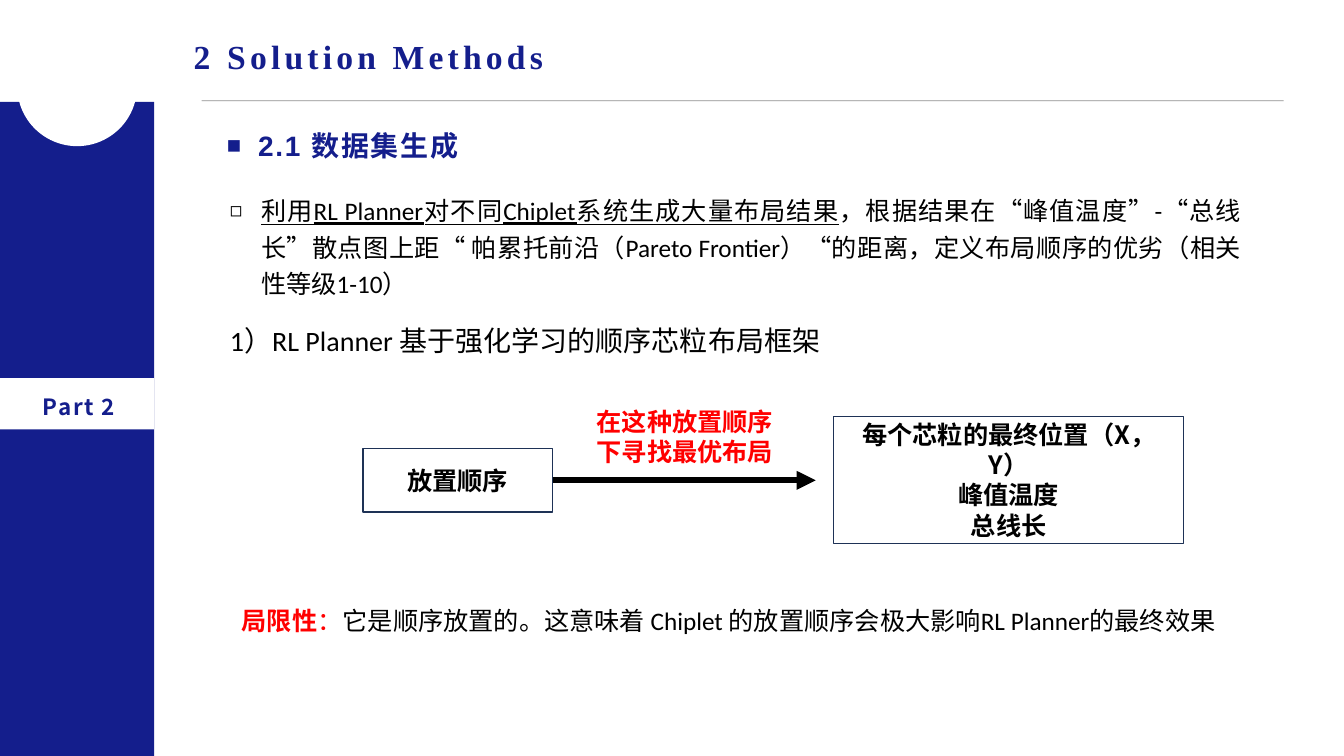
from dataclasses import dataclass

import lxml.etree
import pptx
import pptx.dml.color
import pptx.enum.shapes
import pptx.enum.text
import pptx.oxml.ns
import pptx.util

Inches = pptx.util.Inches
Pt = pptx.util.Pt
qn = pptx.oxml.ns.qn
SHAPE = pptx.enum.shapes.MSO_SHAPE
ALIGN = pptx.enum.text.PP_ALIGN
ANCHOR = pptx.enum.text.MSO_ANCHOR

COLORS = {
    "navy": "141E8C",
    "border": "1E3256",
    "rule": "0D0D0D",
    "red": "FF0000",
    "black": "000000",
    "white": "FFFFFF",
}
CJK = "Noto Sans CJK SC"


@dataclass
class Box:
    left: float
    top: float
    width: float
    height: float

    def lengths(self) -> tuple:
        return tuple(Inches(v) for v in (self.left, self.top, self.width, self.height))


@dataclass
class Panel:
    box: Box
    fill: str
    kind: int = SHAPE.RECTANGLE


@dataclass
class Step:
    box: Box
    lines: list[str]


PANELS = [
    Panel(Box(0, 1.01, 1.53, 6.49), "navy"),
    Panel(Box(0.17, 0.26, 1.19, 1.19), "white", SHAPE.OVAL),
    Panel(Box(0, 3.75, 1.53, 0.51), "white"),
]
STEPS = [
    Step(Box(3.6, 4.45, 1.88, 0.63), ["放置顺序"]),
    Step(Box(8.27, 4.13, 3.47, 1.26), ["每个芯粒的最终位置（X，Y）", "峰值温度", "总线长"]),
]


def rgb(name: str) -> pptx.dml.color.RGBColor:
    return pptx.dml.color.RGBColor.from_string(COLORS[name])


def add_run(p, text: str, *, size: float, font: str = "Calibri", color: str = "black",
            bold: bool = False, underline: bool = False, spacing: float = 0) -> None:
    """Append formatted text; spacing is the gap between letters in points."""
    r = p.add_run()
    r.text = text
    r.font.size = Pt(size)
    r.font.name = font
    r.font.bold = bold
    r.font.underline = underline
    r.font.color.rgb = rgb(color)
    if spacing:
        r._r.get_or_add_rPr().set("spc", str(round(spacing * 100)))


def format_paragraph(p, *, align=ALIGN.LEFT, line: float = 1.0, before: float = 0,
                     margin: float = 0, hanging: float = 0,
                     bullet: str = "", bullet_size: int = 100) -> None:
    pPr = p._p.get_or_add_pPr()
    pPr.set("marL", str(Inches(margin)))
    pPr.set("indent", str(-Inches(hanging)))
    if bullet:
        for tag, name, value in (("a:buSzPct", "val", str(bullet_size * 1000)),
                                 ("a:buFont", "typeface", "Arial"),
                                 ("a:buChar", "char", bullet)):
            lxml.etree.SubElement(pPr, qn(tag)).set(name, value)
    else:
        lxml.etree.SubElement(pPr, qn("a:buNone"))
    p.alignment = align
    p.line_spacing = line
    p.space_before = Pt(before)


def place(sp, box: Box, anchor=ANCHOR.TOP):
    """Set a text shape's position and frame, and return the text frame."""
    sp.left, sp.top, sp.width, sp.height = box.lengths()
    tf = sp.text_frame
    tf.word_wrap = True
    tf.auto_size = pptx.enum.text.MSO_AUTO_SIZE.NONE
    tf.vertical_anchor = anchor
    return tf


def add_text_box(slide, box: Box):
    """Add a wrapping text box and return its first paragraph."""
    return place(slide.shapes.add_textbox(*box.lengths()), box).paragraphs[0]


def add_panel(slide, panel: Panel) -> None:
    sp = slide.shapes.add_shape(panel.kind, *panel.box.lengths())
    sp.shadow.inherit = False
    sp.fill.solid()
    sp.fill.fore_color.rgb = rgb(panel.fill)
    sp.line.fill.background()


def add_step(slide, step: Step):
    sp = slide.shapes.add_shape(SHAPE.RECTANGLE, *step.box.lengths())
    sp.shadow.inherit = False
    sp.fill.background()
    sp.line.color.rgb = rgb("border")
    sp.line.width = Pt(1)
    tf = place(sp, step.box, ANCHOR.MIDDLE)
    for i, text in enumerate(step.lines):
        p = tf.add_paragraph() if i else tf.paragraphs[0]
        p.alignment = ALIGN.CENTER
        add_run(p, text, size=18, font=CJK, bold=True)
    return sp


def add_line(slide, x1: float, x2: float, y: float, color: str, width: float):
    """Add a horizontal line."""
    line = slide.shapes.add_connector(pptx.enum.shapes.MSO_CONNECTOR.STRAIGHT,
                                      Inches(x1), Inches(y), Inches(x2), Inches(y))
    line.line.color.rgb = rgb(color)
    line.line.width = Pt(width)
    lxml.etree.SubElement(line._element.spPr, qn("a:effectLst"))
    return line


def fill_body(sp) -> None:
    tf = place(sp, Box(1.68, 1.22, 10.73, 2.34))
    p = tf.paragraphs[0]
    format_paragraph(p, margin=0.78, hanging=0.31, bullet="■", bullet_size=85)
    add_run(p, "2.1 数据集生成", size=20, font="Arial", color="navy", bold=True, spacing=1.2)

    p = tf.add_paragraph()
    format_paragraph(p, align=ALIGN.JUSTIFY, line=1.2, before=20, margin=0.81,
                     hanging=0.31, bullet="◻", bullet_size=80)
    add_run(p, "利用RL Planner对不同Chiplet系统生成大量布局结果", size=18, underline=True)
    add_run(p, "，根据结果在“峰值温度”-“总线长”散点图上距“ 帕累托前沿（Pareto Frontier）“的距离，"
               "定义布局顺序的优劣（相关性等级1-10）", size=18)

    p = tf.add_paragraph()
    format_paragraph(p, align=ALIGN.JUSTIFY, line=1.2, before=13, margin=0.5)
    add_run(p, "1）RL Planner 基于强化学习的顺序芯粒布局框架", size=20)


def main() -> None:
    prs = pptx.Presentation()
    prs.slide_width, prs.slide_height = Inches(13.33), Inches(7.5)
    slide = prs.slides.add_slide(prs.slide_layouts[1])

    for panel in PANELS:
        add_panel(slide, panel)
    rule = add_line(slide, 2, 12.73, 1, "rule", 0.5)
    rule_color = rule._element.spPr.find(".//" + qn("a:srgbClr"))
    lxml.etree.SubElement(rule_color, qn("a:alpha")).set("val", "46000")

    p = add_text_box(slide, Box(0.19, 3.82, 1.19, 0.38))
    p.alignment, p.line_spacing = ALIGN.CENTER, 1.1
    add_run(p, "Part 2", size=16, font=CJK, color="navy", bold=True, spacing=1.1)

    p = place(slide.shapes.title, Box(1.82, 0.31, 11.5, 0.5)).paragraphs[0]
    p.alignment = ALIGN.LEFT
    add_run(p, "2 Solution Methods", size=24, font="Times New Roman", color="navy",
            bold=True, spacing=3)
    fill_body(slide.placeholders[1])

    order, _ = [add_step(slide, step) for step in STEPS]
    arrow = add_line(slide, 5.48, 8.09, 4.765, "black", 4.5)
    arrow.begin_connect(order, 3)
    lxml.etree.SubElement(arrow.line._get_or_add_ln(), qn("a:tailEnd")).set("type", "triangle")
    p = add_text_box(slide, Box(5.82, 3.98, 2.11, 0.71))
    add_run(p, "在这种放置顺序下寻找最优布局", size=18, color="red", bold=True)

    p = add_text_box(slide, Box(2.3, 5.96, 10.3, 0.4))
    add_run(p, "局限性", size=18, color="red", bold=True)
    add_run(p, "：", size=18, color="red")
    add_run(p, "它是顺序放置的。这意味着 Chiplet 的放置顺序会极大影响RL Planner的最终效果", size=18)

    prs.save("out.pptx")


if __name__ == "__main__":
    main()
